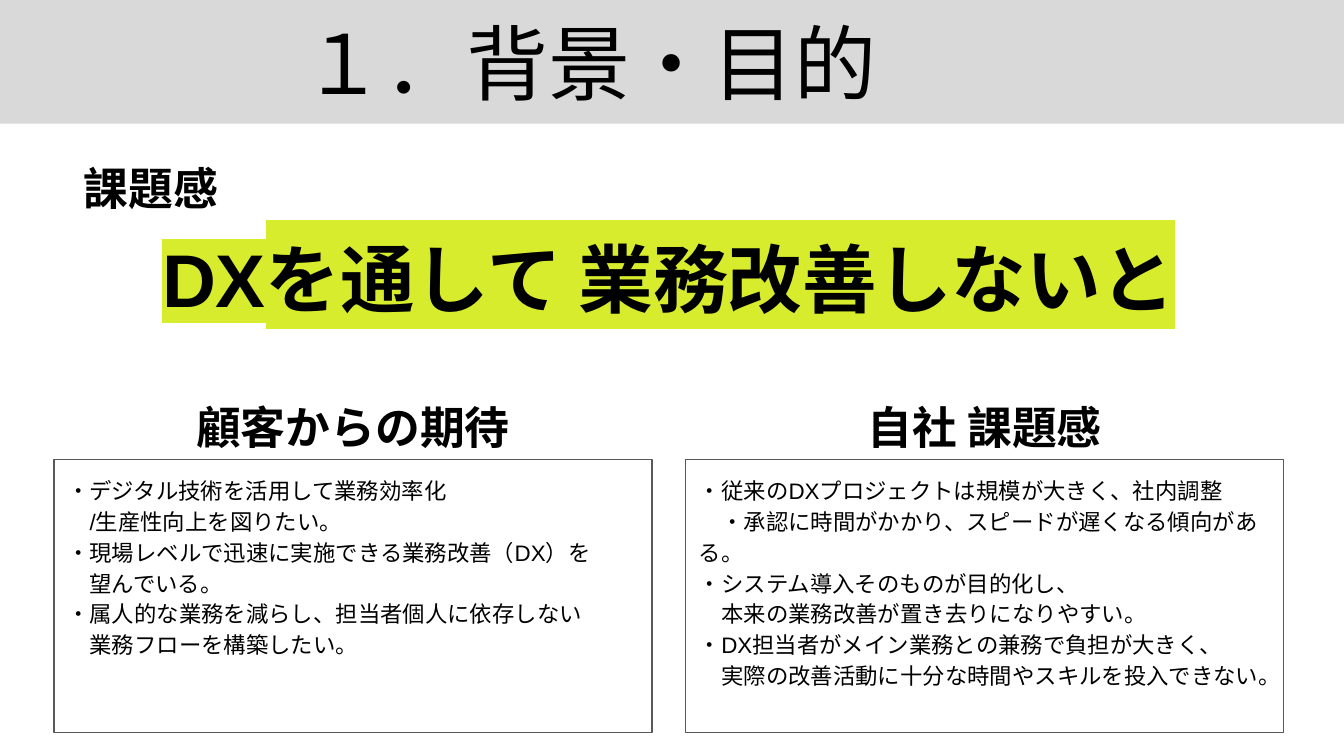
from dataclasses import dataclass

from lxml.etree import SubElement
from pptx import Presentation
from pptx.dml.color import RGBColor as RGB
from pptx.enum.text import MSO_ANCHOR as Anchor, MSO_AUTO_SIZE as AutoSize, PP_ALIGN as Align
from pptx.oxml.ns import qn
from pptx.util import Cm, Pt


@dataclass(frozen=True)
class Theme:
    font: str = "Arial"
    ink: RGB = RGB(0x00, 0x00, 0x00)
    band: RGB = RGB(0xD9, 0xD9, 0xD9)
    border: RGB = RGB(0x59, 0x59, 0x59)
    marker: str = "D8EC2E"
    title: Pt = Pt(44)
    headline: Pt = Pt(40)
    heading: Pt = Pt(24)
    body: Pt = Pt(12)


THEME = Theme()
INSET = Cm(0.25)
MARGIN = Cm(1.02)
COLUMN_WIDTH = Cm(11.3)
COLUMN_GAP = Cm(0.64)
HEADING_HEIGHT = Cm(1.54)

# Each point is a list of lines; lines after the first are indented.
EXPECTATIONS = [
    ["・デジタル技術を活用して業務効率化", "/生産性向上を図りたい。"],
    ["・現場レベルで迅速に実施できる業務改善（DX）を", "望んでいる。"],
    ["・属人的な業務を減らし、担当者個人に依存しない", "業務フローを構築したい。"],
]
OWN_ISSUES = [
    ["・従来のDXプロジェクトは規模が大きく、社内調整",
     "・承認に時間がかかり、スピードが遅くなる傾向がある。"],
    ["・システム導入そのものが目的化し、", "本来の業務改善が置き去りになりやすい。"],
    ["・DX担当者がメイン業務との兼務で負担が大きく、",
     "実際の改善活動に十分な時間やスキルを投入できない。"],
]


def place(part, left, top, width, height):
    part.left, part.top, part.width, part.height = left, top, width, height


def format_text(part, size, bold=False, align=Align.CENTER, anchor=Anchor.TOP, spacing=1.15):
    frame = part.text_frame
    frame.word_wrap = True
    frame.auto_size = AutoSize.NONE
    frame.vertical_anchor = anchor
    frame.margin_left = frame.margin_right = frame.margin_top = frame.margin_bottom = INSET
    for paragraph in frame.paragraphs:
        paragraph.alignment = align
        paragraph.line_spacing = spacing
        paragraph.space_before = paragraph.space_after = Pt(0)
        for run in paragraph.runs:
            run.font.name, run.font.size, run.font.bold = THEME.font, size, bold
            run.font.color.rgb = THEME.ink


def set_indent(paragraph, first_line):
    """Drop the inherited bullet and indent only the first line."""
    properties = paragraph._p.get_or_add_pPr()
    properties.set("marL", "0")
    properties.set("indent", str(int(first_line)))
    SubElement(properties, qn("a:buNone"))


def highlight(run):
    marker = SubElement(run._r.rPr, qn("a:highlight"))
    SubElement(marker, qn("a:srgbClr")).set("val", THEME.marker)
    run._r.rPr.find(qn("a:solidFill")).addnext(marker)


def title_band(title, left, top, width, height):
    place(title, left, top, width, height)
    title.fill.solid()
    title.fill.fore_color.rgb = THEME.band
    title.text_frame.text = "１．背景・目的"
    format_text(title, THEME.title, anchor=Anchor.MIDDLE, spacing=1.0)
    title.text_frame.margin_right = INSET + 2 * THEME.title  # shifts the title left


def headline(slide, left, top, width, height):
    label = slide.shapes.add_textbox(left, top, Cm(3.66), HEADING_HEIGHT)
    label.text_frame.text = "課題感"
    format_text(label, THEME.heading, bold=True)

    message_top = top + Cm(1.25)
    message = slide.shapes.add_textbox(left, message_top, width, top + height - message_top)
    message.text_frame.text = "DXを通して 業務改善しないと"
    format_text(message, THEME.headline, bold=True)
    highlight(message.text_frame.paragraphs[0].runs[0])


def column(heading, details, heading_text, points, left, top, width, height):
    place(heading, left, top, width, HEADING_HEIGHT)
    heading.text_frame.text = heading_text
    set_indent(heading.text_frame.paragraphs[0], 0)
    format_text(heading, THEME.heading, bold=True)

    place(details, left, top + HEADING_HEIGHT, width, height - HEADING_HEIGHT)
    details.line.color.rgb = THEME.border
    details.line.width = Pt(0.75)
    details.text_frame.text = "\n".join(line for point in points for line in point)
    indents = [THEME.body if i else 0 for point in points for i in range(len(point))]
    for paragraph, indent in zip(details.text_frame.paragraphs, indents):
        set_indent(paragraph, indent)
    format_text(details, THEME.body, align=Align.LEFT)


def main():
    presentation = Presentation()
    presentation.slide_width, presentation.slide_height = Cm(25.4), Cm(14.29)
    comparison = presentation.slide_layouts.get_by_name("Comparison")
    slide = presentation.slides.add_slide(comparison)
    parts = {part.placeholder_format.idx: part for part in slide.placeholders}

    title_band(parts[0], 0, Cm(-0.02), presentation.slide_width, Cm(2.36))
    headline(slide, MARGIN, Cm(2.64), 2 * COLUMN_WIDTH + COLUMN_GAP, Cm(3.48))
    columns = [("顧客からの期待", EXPECTATIONS), ("自社 課題感", OWN_ISSUES)]
    for i, (heading_text, points) in enumerate(columns):
        column(parts[2 * i + 1], parts[2 * i + 2], heading_text, points,
               MARGIN + i * (COLUMN_WIDTH + COLUMN_GAP), Cm(7.15), COLUMN_WIDTH, Cm(6.7))

    presentation.save("out.pptx")


if __name__ == "__main__":
    main()
